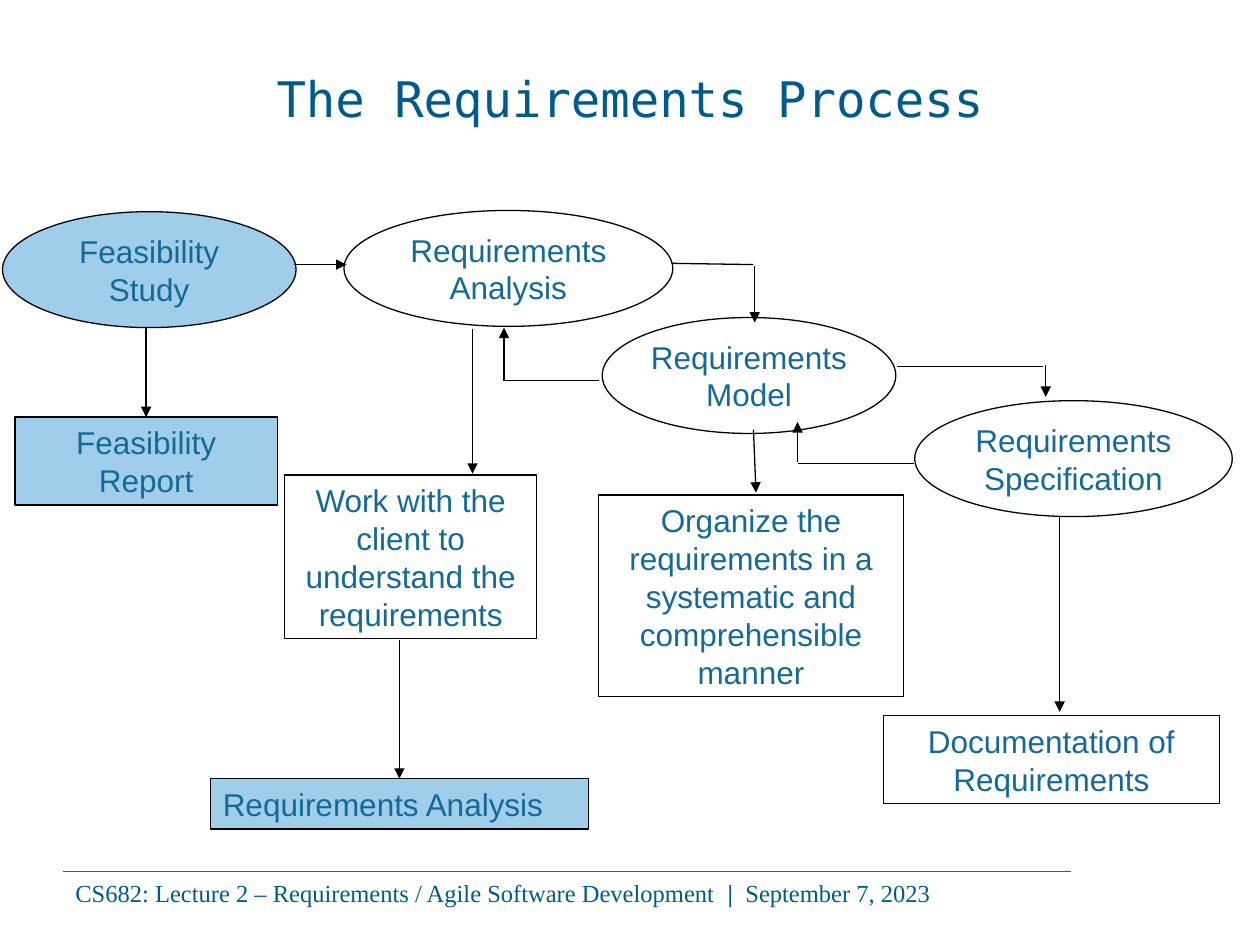
from lxml import etree
from pptx import Presentation
from pptx.dml.color import RGBColor
from pptx.enum import shapes, text
from pptx.oxml.ns import qn
from pptx.util import Inches, Pt

COLORS = {
    "heading": "005A8B",
    "label": "156997",
    "done": "A0CEEA",
    "outline": "000000",
    "rule": "2D588D",
}


class ProcessSlide:
    """Holds the style and the slide being drawn."""

    def __init__(self, slide):
        self.slide = slide

    def color(self, name):
        return RGBColor.from_string(COLORS[name])

    def style_font(self, font, name, size, color):
        font.name = name
        font.size = Pt(size)
        font.color.rgb = self.color(color)

    def title(self, wording, *box):
        heading = self.slide.shapes.title
        heading.left, heading.top, heading.width, heading.height = map(Inches, box)
        frame = heading.text_frame
        frame.text = wording
        frame.vertical_anchor = text.MSO_ANCHOR.MIDDLE
        frame.paragraphs[0].alignment = text.PP_ALIGN.CENTER
        self.style_font(frame.paragraphs[0].runs[0].font, "DejaVu Sans Mono", 28, "heading")

    def footer(self, parts, *box):
        """Write a one-line footer from (wording, bold) parts."""
        frame = self.slide.shapes.add_textbox(*map(Inches, box)).text_frame
        frame.word_wrap = True
        for wording, bold in parts:
            run = frame.paragraphs[0].add_run()
            run.text = wording
            self.style_font(run.font, "Times New Roman", 14, "heading")
            run.font.bold = bold

    def node(self, kind, wording, box, done=False, centred=True, wrap=True):
        """Add a labelled shape; finished items are filled."""
        node = self.slide.shapes.add_shape(kind, *map(Inches, box))
        node.shadow.inherit = False
        if done:
            node.fill.solid()
            node.fill.fore_color.rgb = self.color("done")
        else:
            node.fill.background()
        node.line.color.rgb = self.color("outline")
        node.line.width = Pt(0.75)
        frame = node.text_frame
        frame.text = wording
        frame.word_wrap = wrap
        frame.vertical_anchor = text.MSO_ANCHOR.MIDDLE
        for paragraph in frame.paragraphs:
            paragraph.alignment = text.PP_ALIGN.CENTER if centred else text.PP_ALIGN.LEFT
            paragraph.line_spacing = Pt(21.6)
            self.style_font(paragraph.runs[0].font, "Arial", 18, "label")
        return node

    def activity(self, wording, *box, **options):
        return self.node(shapes.MSO_SHAPE.OVAL, wording, box, **options)

    def product(self, wording, *box, **options):
        node = self.node(shapes.MSO_SHAPE.RECTANGLE, wording, box, **options)
        node.text_frame.vertical_anchor = text.MSO_ANCHOR.TOP
        return node

    def line(self, *ends, color="outline", width=0.75):
        line = self.slide.shapes.add_connector(
            shapes.MSO_CONNECTOR.STRAIGHT, *map(Inches, ends))
        line.line.color.rgb = self.color(color)
        line.line.width = Pt(width)
        etree.SubElement(line._element.spPr, qn("a:effectLst"))
        return line

    def arrow(self, *ends, onto=None):
        """Draw an arrow, joined to the top of a product if one is given."""
        arrow = self.line(*ends)
        etree.SubElement(arrow.line._get_or_add_ln(), qn("a:tailEnd"), type="triangle")
        if onto is not None:
            arrow.end_connect(onto, 0)


def main():
    deck = Presentation()
    deck.slide_width, deck.slide_height = Inches(10), Inches(7.5)
    process = ProcessSlide(deck.slides.add_slide(deck.slide_layouts[5]))

    process.line(0.5, 6.92, 8.5, 6.92, color="rule", width=0.5)
    process.footer([
        ("CS682: Lecture 2 – Requirements / Agile Software Development  ", False),
        ("|  ", True),
        ("September 7, 2023", False),
    ], 0.5, 6.92, 8.17, 0.34)
    process.title("The Requirements Process", 0.5, 0.3, 9, 0.95)

    process.activity("Feasibility Study", 0.02, 1.68, 2.33, 0.92, done=True)
    process.activity("Requirements Analysis", 2.73, 1.67, 2.61, 0.92)
    process.activity("Requirements\nModel", 4.78, 2.52, 2.33, 0.92, wrap=False)
    process.activity("Requirements Specification", 7.26, 3.18, 2.52, 0.92)

    report = process.product("Feasibility\nReport", 0.12, 3.31, 2.08, 0.7, done=True)
    process.product("Documentation of\nRequirements", 7.01, 5.68, 2.67, 0.7)
    process.product("Work with the client to understand the requirements",
                    2.26, 3.77, 2, 1.3)
    process.product("Organize the requirements in a systematic and comprehensible manner",
                    4.75, 3.93, 2.42, 1.6)
    analysis = process.product("Requirements Analysis", 1.67, 6.18, 3, 0.4,
                               done=True, centred=False)

    # From each activity to its product, and from study to analysis
    process.arrow(1.16, 2.6, 1.16, 3.31, onto=report)
    process.arrow(3.17, 5.08, 3.17, 6.18, onto=analysis)
    for ends in [
        (8.41, 4.1, 8.41, 5.65),
        (5.98, 3.41, 6, 3.91),
        (3.75, 2.61, 3.75, 3.76),
        (2.33, 2.1, 2.75, 2.1),
    ]:
        process.arrow(*ends)

    # Bent paths forward and back between activities: a plain leg, then an arrow
    for leg, head in [
        ((5.33, 2.09, 5.98, 2.1), (5.99, 2.11, 5.99, 2.56)),
        ((4.75, 3.02, 3.99, 3.02), (4, 3.02, 4, 2.6)),
        ((7.12, 2.91, 8.28, 2.91), (8.3, 2.9, 8.3, 3.15)),
        ((7.25, 3.68, 6.33, 3.68), (6.33, 3.67, 6.33, 3.35)),
    ]:
        process.line(*leg)
        process.arrow(*head)

    deck.save("out.pptx")


if __name__ == "__main__":
    main()
